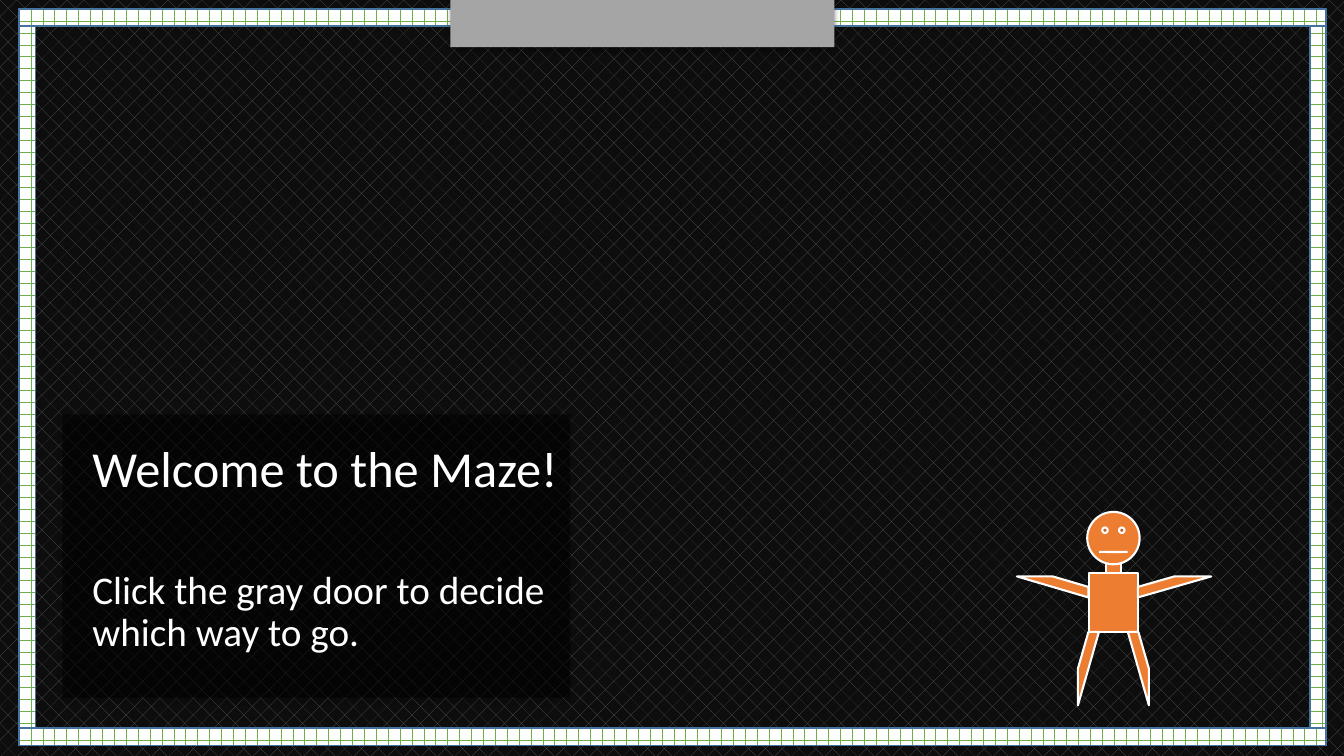
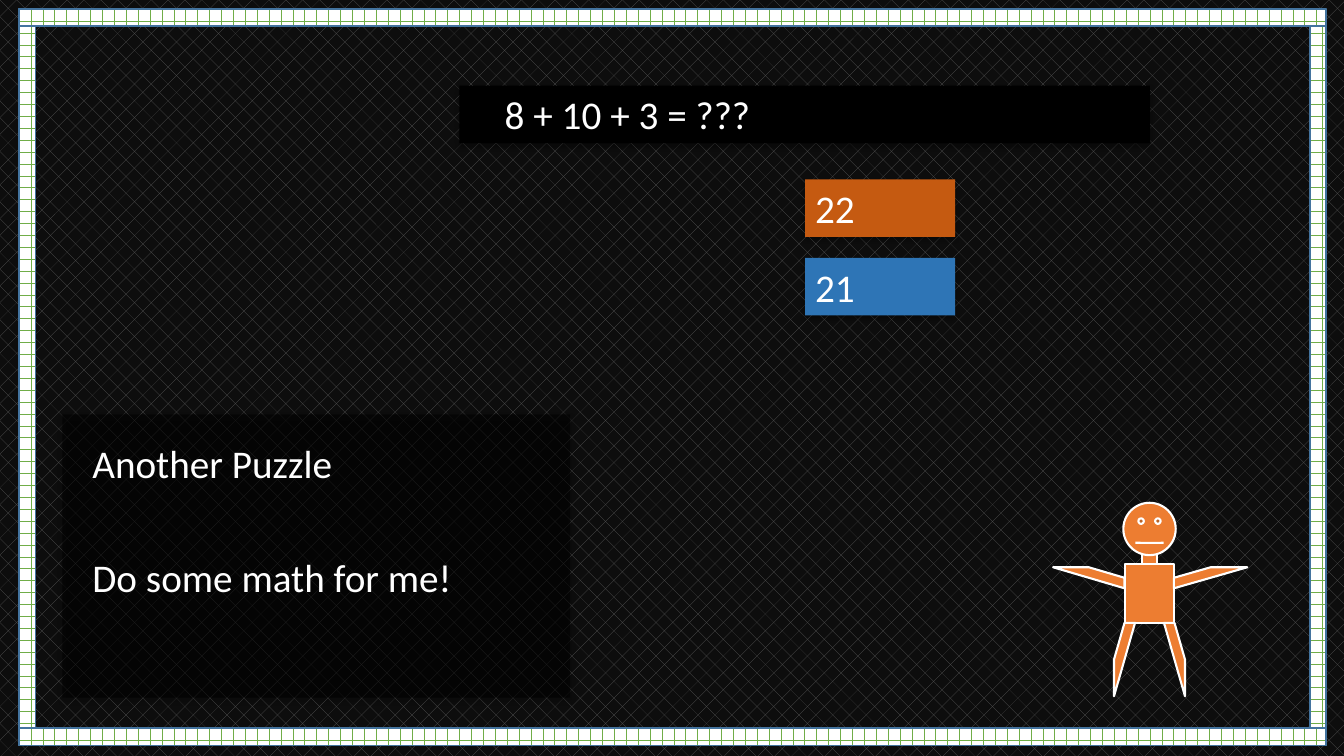
from lxml import etree
from pptx import Presentation
from pptx import util as u
from pptx.dml.color import RGBColor
from pptx.enum import dml, shapes, text
from pptx.oxml.ns import qn

FONT = "Calibri"
WHITE, BLACK, GRAY = "FFFFFF", "000000", "A5A5A5"
FIGURE_ORANGE, ANSWER_ORANGE, ANSWER_BLUE = "ED7D31", "C55A11", "2E75B6"
BODY_SIZE = 28

# All lengths are in centimetres: left, top, width, height.
FRAME = (0.48, 0.23, 32.94, 18.55)
SIDE_WIDTH, BAND_HEIGHT = 0.41, 0.43
PANEL = (1.57, 10.44, 12.8, 7.14)
DOOR = (11.35, 0, 9.68, 1.19)
QUESTION = (11.58, 2.16, 17.4, 1.45)
FIRST_ANSWER = (20.29, 4.52, 3.78, 1.45)
ANSWER_PITCH = 1.98

PRESET = shapes.MSO_SHAPE
# preset, centre from the top of the head, width, height, rotation, flips
FIGURE_PARTS = [
    (PRESET.RECTANGLE, 0, 1.46, 0.38, 0.38, 0, ""),
    (PRESET.SMILEY_FACE, 0, 0.66, 1.32, 1.32, 0, ""),
    (PRESET.RECTANGLE, 0, 2.29, 1.25, 1.48, 0, ""),
    (PRESET.DIAGONAL_STRIPE, -0.63, 3.95, 0.53, 1.85, 0, ""),
    (PRESET.DIAGONAL_STRIPE, 0.63, 3.95, 0.53, 1.85, 0, "H"),
    (PRESET.DIAGONAL_STRIPE, 1.54, 1.89, 0.53, 1.85, 270, "H"),
    (PRESET.DIAGONAL_STRIPE, -1.53, 1.89, 0.53, 1.8, 270, "HV"),
]

SLIDES = [
    {
        "panel": [("Welcome to the Maze!", 36),
                  ("Click the gray door to decide which way to go.", BODY_SIZE)],
        "door": True,
        "figure": (28.06, 12.9),
    },
    {
        "panel": [("Another Puzzle", BODY_SIZE), ("Do some math for me!", BODY_SIZE)],
        "question": "8 + 10 + 3 = ???",
        "answers": [("22", ANSWER_ORANGE), ("21", ANSWER_BLUE)],
        "figure": (28.97, 12.67),
    },
]


def rgb(color):
    return RGBColor.from_string(color)


def set_pattern(fill, pattern, foreground, background):
    fill.patterned()
    fill.pattern = pattern
    fill.fore_color.rgb = rgb(foreground)
    fill.back_color.rgb = rgb(background)


def add_preset(parent, preset, box, fill=None, line=None, line_width=1):
    shape = parent.shapes.add_shape(preset, *(u.Cm(length) for length in box))
    shape.shadow.inherit = False
    if fill:
        shape.fill.solid()
        shape.fill.fore_color.rgb = rgb(fill)
    if line:
        shape.line.color.rgb = rgb(line)
        shape.line.width = u.Pt(line_width)
    else:
        shape.line.fill.background()
    return shape


def set_alpha(color_element, percent):
    etree.SubElement(color_element, qn("a:alpha"), val=str(percent * 1000))


def add_shadowed_box(slide, box, fill):
    """Add a rectangle with a soft shadow below it."""
    shape = add_preset(slide, PRESET.RECTANGLE, box, fill)
    effects = shape._element.spPr.find(qn("a:effectLst"))
    shadow = etree.SubElement(
        effects, qn("a:outerShdw"), blurRad=str(u.Pt(3.5)), dist=str(u.Pt(2.2)),
        dir=str(90 * 60000), rotWithShape="0")
    set_alpha(etree.SubElement(shadow, qn("a:srgbClr"), val=BLACK), 32)
    return shape


def add_run(paragraph, words, size):
    paragraph.alignment = text.PP_ALIGN.LEFT
    run = paragraph.add_run()
    run.text = words
    run.font.name = FONT
    run.font.size = u.Pt(size)
    run.font.color.rgb = rgb(WHITE)


def add_frame(slide):
    left, top, width, height = FRAME
    group = slide.shapes.add_group_shape()
    bars = [(x, top, SIDE_WIDTH, height) for x in (left, left + width - SIDE_WIDTH)]
    bars += [(left, y, width, BAND_HEIGHT) for y in (top + height - BAND_HEIGHT, top)]
    for bar in bars:
        shape = add_preset(group, PRESET.RECTANGLE, bar, line="43739E")
        set_pattern(shape.fill, dml.MSO_PATTERN.HORIZONTAL_BRICK, "70AD47", WHITE)


def add_panel(slide, lines):
    shape = add_shadowed_box(slide, PANEL, BLACK)
    set_alpha(shape._element.spPr.find(qn("a:solidFill"))[0], 50)
    frame = shape.text_frame
    frame.word_wrap = True
    frame.vertical_anchor = text.MSO_ANCHOR.TOP
    frame.margin_left = frame.margin_top = u.Cm(0.76)
    for index, (words, size) in enumerate(lines):
        paragraph = frame.add_paragraph() if index else frame.paragraphs[0]
        paragraph.line_spacing = 0.9
        paragraph.space_before = u.Pt(51 if index else 10)
        add_run(paragraph, words, size)


def add_label(slide, box, words, fill, indent=0.25):
    shape = add_shadowed_box(slide, box, fill)
    frame = shape.text_frame
    frame.word_wrap = True
    frame.vertical_anchor = text.MSO_ANCHOR.TOP
    frame.margin_left = u.Cm(indent)
    add_run(frame.paragraphs[0], words, BODY_SIZE)


def add_figure(slide, center, top):
    group = slide.shapes.add_group_shape()
    for preset, x, y, width, height, rotation, flips in FIGURE_PARTS:
        box = (center + x - width / 2, top + y - height / 2, width, height)
        shape = add_preset(group, preset, box, FIGURE_ORANGE, WHITE, 1.5)
        shape.rotation = rotation
        for axis in flips:
            shape._element.spPr.xfrm.set("flip" + axis, "1")
        if preset == PRESET.SMILEY_FACE:
            shape.adjustments[0] = 0.001  # straight mouth


def build_slide(presentation, content):
    slide = presentation.slides.add_slide(presentation.slide_layouts[6])
    add_frame(slide)
    add_panel(slide, content["panel"])
    if "question" in content:
        add_label(slide, QUESTION, content["question"], BLACK, indent=1.14)
    left, top, width, height = FIRST_ANSWER
    for index, (words, fill) in enumerate(content.get("answers", [])):
        add_label(slide, (left, top + index * ANSWER_PITCH, width, height), words, fill)
    add_figure(slide, *content["figure"])
    if content.get("door"):
        add_shadowed_box(slide, DOOR, GRAY)


def main():
    presentation = Presentation()
    presentation.slide_width, presentation.slide_height = u.Cm(33.87), u.Cm(19.05)
    set_pattern(presentation.slide_master.background.fill,
                dml.MSO_PATTERN.DIAGONAL_BRICK, "595959", "0D0D0D")
    for content in SLIDES:
        build_slide(presentation, content)
    presentation.save("out.pptx")


if __name__ == "__main__":
    main()
